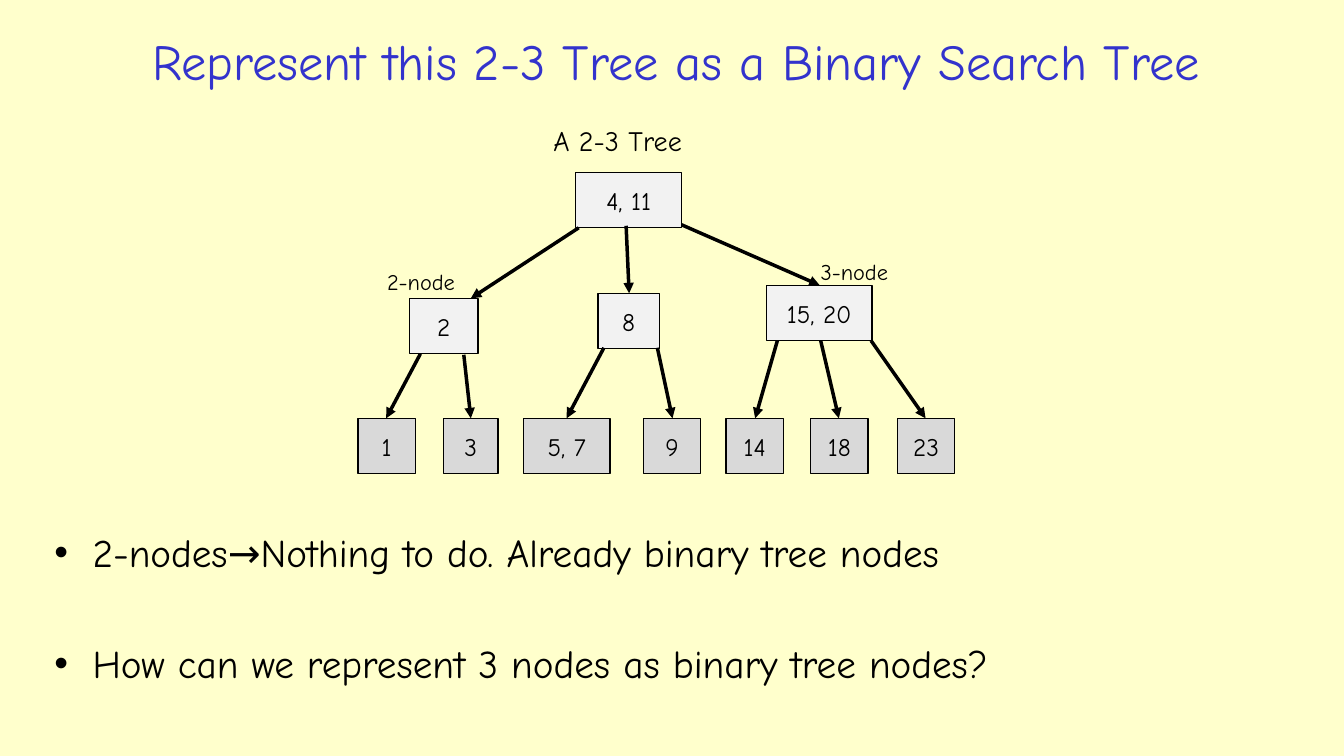
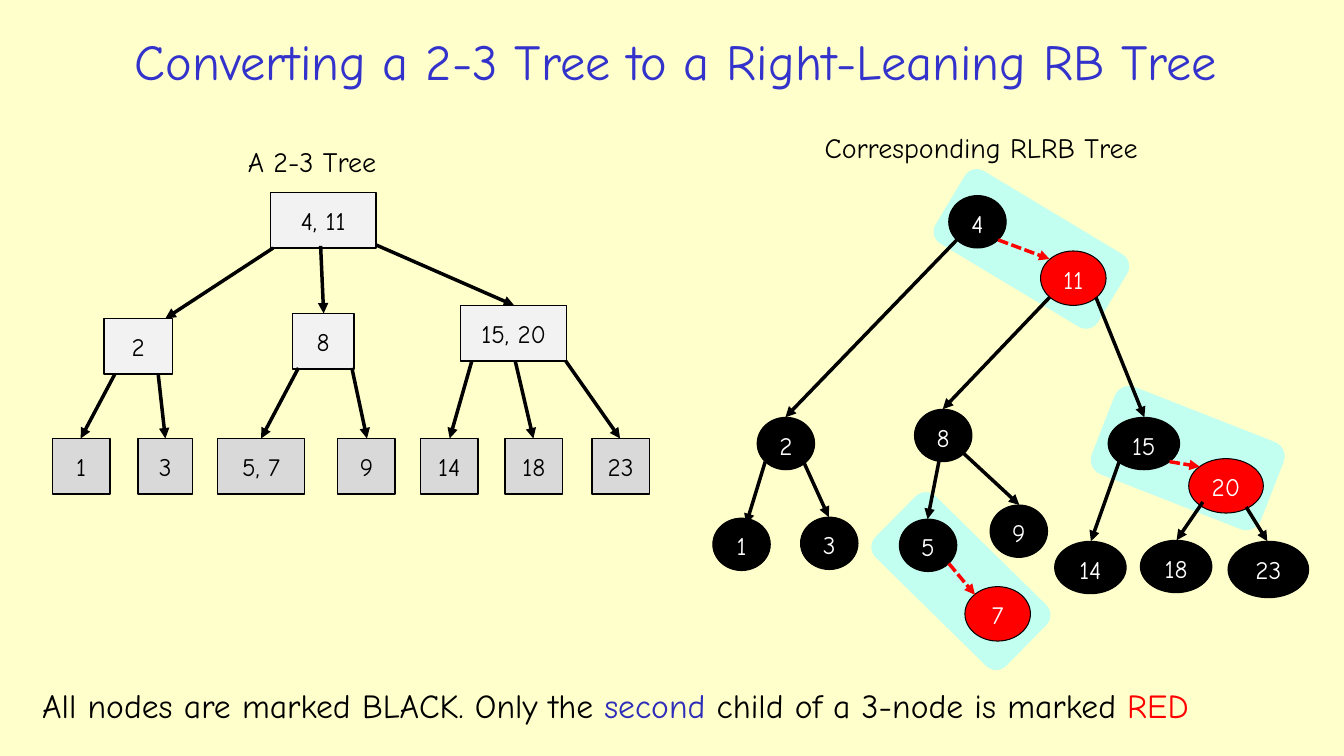
from dataclasses import dataclass

from lxml.etree import SubElement
from pptx import Presentation
from pptx.dml.color import RGBColor
from pptx.enum.dml import MSO_LINE
from pptx.enum.shapes import MSO_CONNECTOR, MSO_SHAPE
from pptx.enum.text import MSO_ANCHOR, PP_ALIGN
from pptx.oxml.ns import qn
from pptx.slide import Slide
from pptx.util import Emu, Pt

PX = 9144
FACE = "Comic Neue"
COLORS = {
    "page": "FFFFCC",
    "title": "3333CC",
    "accent": "2D2DB9",
    "inner": "F2F2F2",
    "leaf": "D9D9D9",
    "panel": "C2FFF0",
    "black": "000000",
    "red": "FF0000",
    "white": "FFFFFF",
}


@dataclass(frozen=True)
class Box:
    label: str
    left: int
    top: int
    width: int
    fill: str = "inner"


@dataclass(frozen=True)
class Ball:
    label: str
    left: int
    top: int
    width: int = 57
    height: int = 52
    fill: str = "black"


@dataclass(frozen=True)
class Edge:
    x1: int
    y1: int
    x2: int
    y2: int
    red: bool = False


@dataclass(frozen=True)
class Panel:
    left: int
    top: int
    width: int
    height: int
    angle: float


BOX_H = 55
LEAF_Y = 415
LEAVES = [
    ("1", 355, 57), ("3", 440, 54), ("5, 7", 519, 86), ("9", 638, 57),
    ("14", 720, 57), ("18", 804, 57), ("23", 890, 57),
]
BOXES = [
    Box("4, 11", 571, 171, 105),
    Box("2", 406, 296, 68),
    Box("8", 593, 291, 61),
    Box("15, 20", 760, 283, 105),
] + [Box(label, left, LEAF_Y, width, "leaf") for label, left, width in LEAVES]
TREE_EDGES = [
    Edge(574, 226, 467, 296),
    Edge(621, 224, 624, 291),
    Edge(676, 223, 813, 283),
    Edge(417, 351, 383, LEAF_Y),
    Edge(460, 352, 467, LEAF_Y),
    Edge(599, 345, 562, LEAF_Y),
    Edge(652, 345, 667, LEAF_Y),
    Edge(771, 338, 749, LEAF_Y),
    Edge(814, 338, 832, LEAF_Y),
    Edge(864, 338, 918, LEAF_Y),
]

PANELS = [
    Panel(862, 534, 182, 85, 44.5),
    Panel(1088, 408, 180, 93, 21.4),
    Panel(929, 205, 188, 84, 31),
]
BALLS = [
    Ball("4", 941, 194),
    Ball("11", 1032, 249, 65, 54, "red"),
    Ball("2", 751, 414),
    Ball("1", 707, 514),
    Ball("3", 794, 513),
    Ball("8", 907, 406),
    Ball("5", 892, 515),
    Ball("7", 957, 582, 65, 54, "red"),
    Ball("9", 982, 501),
    Ball("15", 1099, 414, 71),
    Ball("20", 1179, 455, 74, 54, "red"),
    Ball("14", 1046, 537, 71),
    Ball("18", 1131, 536, 71),
    Ball("23", 1218, 537, 80, 56),
]
BALL_EDGES = [
    Edge(990, 238, 1041, 257, True),
    Edge(759, 458, 740, 520),
    Edge(797, 458, 822, 513),
    Edge(949, 238, 779, 414),
    Edge(941, 559, 967, 590, True),
    Edge(932, 454, 920, 515),
    Edge(956, 450, 1011, 501),
    Edge(1041, 295, 935, 406),
    Edge(1087, 295, 1135, 414),
    Edge(1110, 458, 1082, 537),
    Edge(1193, 498, 1167, 536),
    Edge(1236, 503, 1257, 537),
    Edge(1160, 458, 1190, 463, True),
]


def px(value: int) -> Emu:
    return Emu(value * PX)


def color(name: str) -> RGBColor:
    return RGBColor.from_string(COLORS[name])


def style(para, size: int, hue: str | None = "black") -> None:
    font = para.font
    font.name, font.size = FACE, Pt(size)
    if hue:
        font.color.rgb = color(hue)


def add_text(slide: Slide, left: int, top: int, width: int, height: int):
    area = slide.shapes.add_textbox(px(left), px(top), px(width), px(height))
    frame = area.text_frame
    frame.word_wrap = True
    return frame


def add_label(slide: Slide, text: str, left: int, top: int, width: int, size: int) -> None:
    para = add_text(slide, left, top, width, 44).paragraphs[0]
    para.text = text
    style(para, size)


def add_title(slide: Slide, text: str) -> None:
    frame = add_text(slide, 44, 18, 1253, 84)
    frame.vertical_anchor = MSO_ANCHOR.MIDDLE
    para = frame.paragraphs[0]
    para.text = text
    para.alignment = PP_ALIGN.CENTER
    style(para, 36, "title")


def add_form(slide: Slide, kind, left: int, top: int, width: int, height: int, fill: str):
    form = slide.shapes.add_shape(kind, px(left), px(top), px(width), px(height))
    form.shadow.inherit = False
    form.fill.solid()
    form.fill.fore_color.rgb = color(fill)
    return form


def add_node(form, label: str, hue: str, line: float, anchor) -> None:
    form.line.color.rgb = color("black")
    form.line.width = Pt(line)
    frame = form.text_frame
    frame.margin_left = frame.margin_right = 0
    frame.vertical_anchor = anchor
    para = frame.paragraphs[0]
    para.text = label
    para.alignment = PP_ALIGN.CENTER
    style(para, 18, hue)


def add_edge(slide: Slide, edge: Edge, dx: int = 0, dy: int = 0) -> None:
    link = slide.shapes.add_connector(
        MSO_CONNECTOR.STRAIGHT,
        px(edge.x1 + dx), px(edge.y1 + dy), px(edge.x2 + dx), px(edge.y2 + dy),
    )
    link.line.color.rgb = color("red" if edge.red else "black")
    link.line.width = Pt(2.5)
    if edge.red:
        link.line.dash_style = MSO_LINE.SQUARE_DOT
    props = link._element.spPr
    SubElement(props.find(qn("a:ln")), qn("a:tailEnd"), type="triangle")
    SubElement(props, qn("a:effectLst"))


def add_tree(slide: Slide, dx: int = 0, dy: int = 0) -> None:
    for box in BOXES:
        form = add_form(slide, MSO_SHAPE.RECTANGLE, box.left + dx, box.top + dy,
                        box.width, BOX_H, box.fill)
        add_node(form, box.label, "black", 1, MSO_ANCHOR.MIDDLE)
    for edge in TREE_EDGES:
        add_edge(slide, edge, dx, dy)
    add_label(slide, "A 2-3 Tree", 539 + dx, 118 + dy, 167, 20)


def add_balls(slide: Slide) -> None:
    for panel in PANELS:
        form = add_form(slide, MSO_SHAPE.ROUNDED_RECTANGLE, panel.left, panel.top,
                        panel.width, panel.height, "panel")
        form.line.fill.background()
        form.rotation = panel.angle
    for ball in BALLS:
        form = add_form(slide, MSO_SHAPE.OVAL, ball.left, ball.top,
                        ball.width, ball.height, ball.fill)
        add_node(form, ball.label, "white", 0.75, MSO_ANCHOR.TOP)
    for edge in BALL_EDGES:
        add_edge(slide, edge)
    add_label(slide, "Corresponding RLRB Tree", 808, 125, 355, 20)


def add_points(slide: Slide, lines: list[str]) -> None:
    frame = add_text(slide, 44, 519, 1264, 207)
    for index, line in enumerate(lines):
        para = frame.add_paragraph() if index else frame.paragraphs[0]
        para.text = line
        if index:
            para.space_before = Pt(46)
        props = para._p.get_or_add_pPr()
        props.set("marL", str(px(38)))
        props.set("indent", str(px(-38)))
        SubElement(props, qn("a:buFont"), typeface="Arial")
        SubElement(props, qn("a:buChar"), char="•")
        style(para, 28)


def add_note(slide: Slide, parts: list[tuple[str, str]]) -> None:
    para = add_text(slide, 32, 675, 1241, 50).paragraphs[0]
    style(para, 24, None)
    for text, hue in parts:
        run = para.add_run()
        run.text = text
        run.font.color.rgb = color(hue)


def main() -> None:
    deck = Presentation()
    deck.slide_width, deck.slide_height = px(1333), px(750)
    back = deck.slide_master.background.fill
    back.solid()
    back.fore_color.rgb = color("page")
    blank = deck.slide_layouts[6]

    task = deck.slides.add_slide(blank)
    add_title(task, "Represent this 2-3 Tree as a Binary Search Tree")
    add_tree(task)
    add_points(task, [
        "2-nodes→Nothing to do. Already binary tree nodes",
        "How can we represent 3 nodes as binary tree nodes?",
    ])
    add_label(task, "2-node", 374, 261, 92, 16)
    add_label(task, "3-node", 804, 251, 92, 16)

    result = deck.slides.add_slide(blank)
    add_title(result, "Converting a 2-3 Tree to a Right-Leaning RB Tree")
    add_tree(result, -303, 20)
    add_balls(result)
    add_note(result, [
        ("All nodes are marked BLACK. Only the ", "black"),
        ("second", "accent"),
        (" child of a 3-node is marked ", "black"),
        ("RED", "red"),
    ])
    deck.save("out.pptx")


if __name__ == "__main__":
    main()
